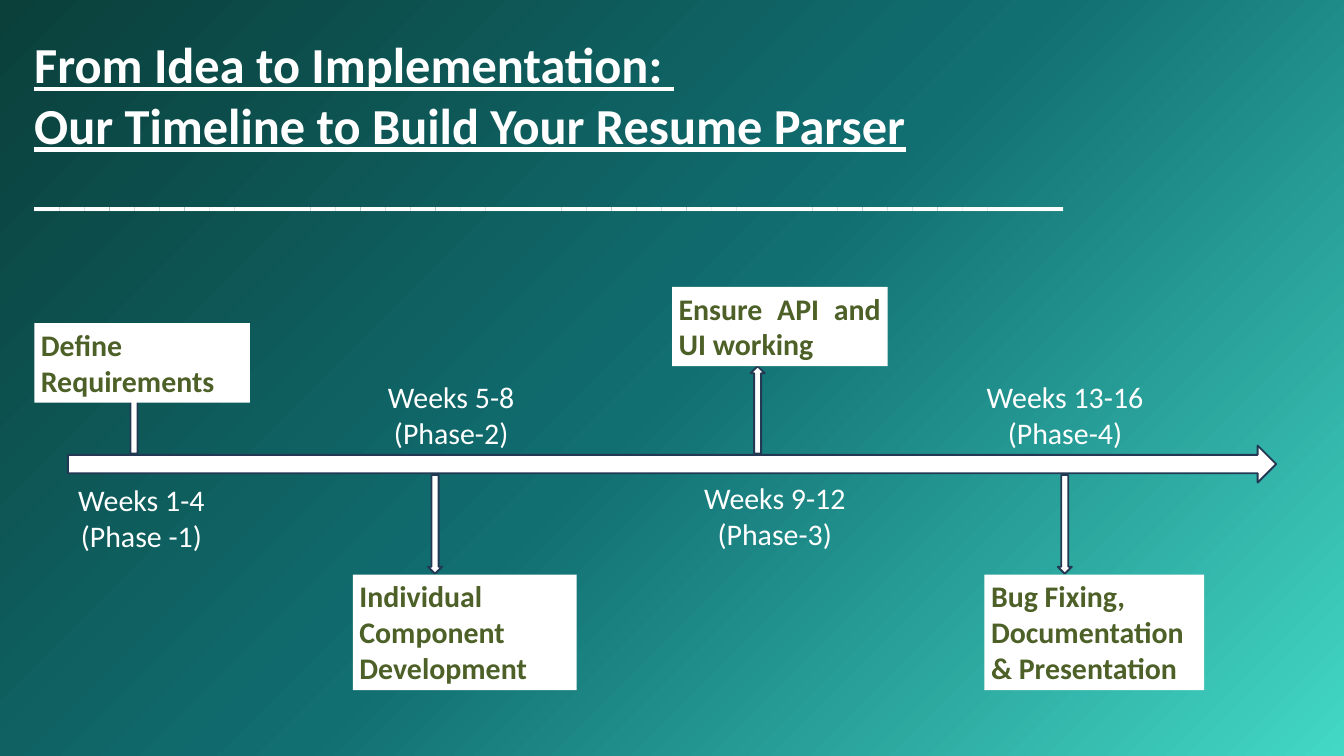
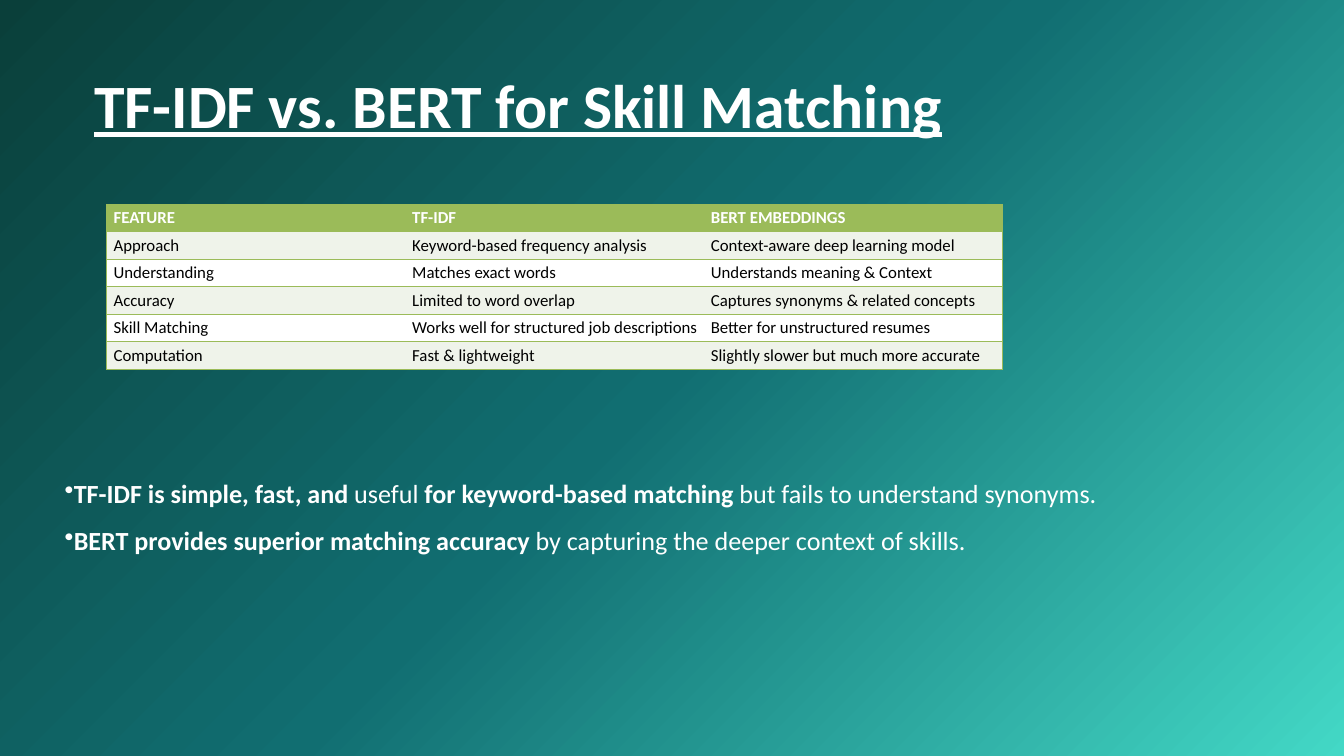
"""Builds a project timeline slide and a skill matching comparison slide."""
import pptx
import pptx.util
import pptx.dml.color
import pptx.enum.shapes
import pptx.enum.text
import pptx.oxml
import pptx.oxml.ns
from lxml import etree

Pt = pptx.util.Pt
qn = pptx.oxml.ns.qn
SHAPE = pptx.enum.shapes.MSO_SHAPE
ALIGN = pptx.enum.text.PP_ALIGN
FONT = "Calibri"
WHITE, BLACK, NAVY, OLIVE = "FFFFFF", "000000", "233953", "4D6027"
GREEN, PALE = "9BBB59", "EFF3EA"
GRADIENT = [(0, "0A3F3A"), (50, "116E71"), (100, "43D8C6")]


def rgb(color):
    return pptx.dml.color.RGBColor.from_string(color)


def write(sp, lines, size, color=WHITE, bold=None, underline=None, align=None, inset=None):
    tf = sp.text_frame
    tf.word_wrap = True
    tf.auto_size = pptx.enum.text.MSO_AUTO_SIZE.SHAPE_TO_FIT_TEXT
    tf.vertical_anchor = pptx.enum.text.MSO_ANCHOR.TOP
    if inset is not None:
        tf.margin_left = tf.margin_top = tf.margin_right = tf.margin_bottom = Pt(inset)
    for i, line in enumerate(lines):
        p = tf.paragraphs[0] if i == 0 else tf.add_paragraph()
        p.text = line
        p.alignment = align
        f = p.font
        f.name, f.size, f.bold, f.underline = FONT, Pt(size), bold, underline
        f.color.rgb = rgb(color)
    return tf


prs = pptx.Presentation()
prs.slide_width, prs.slide_height = Pt(1440), Pt(810)
blank = prs.slide_layouts[6]

prs.slide_master.background.fill.gradient()
grad = prs.slide_master.element.find(".//" + qn("a:gradFill"))
for child in list(grad):
    grad.remove(child)
stops = etree.SubElement(grad, qn("a:gsLst"))
for pos, color in GRADIENT:
    gs = etree.SubElement(stops, qn("a:gs"), pos=str(pos * 1000))
    etree.SubElement(gs, qn("a:srgbClr"), val=color)
path = etree.SubElement(grad, qn("a:path"), path="circle")
etree.SubElement(path, qn("a:fillToRect"), r="100000", b="100000")

s = prs.slides.add_slide(blank)
sp = s.shapes.add_textbox(Pt(36.7), Pt(36), Pt(1182), Pt(196.6))
tf = write(sp, ["From Idea to Implementation: ", "Our Timeline to Build Your Resume Parser", "_" * 41],
           54, bold=True, underline=True, inset=0)
tf.paragraphs[2].font.underline = False

phases = [
    ("Define Requirements ", ALIGN.JUSTIFY, (36.7, 346.3, 231, 85),
     SHAPE.UP_ARROW, (136, 392.4, 15.1, 93.6),
     ["Weeks 1-4", "(Phase -1)"], (72.7, 512.6, 157.7, 85)),
    ("Individual Component Development", ALIGN.JUSTIFY, (378, 615.6, 239.8, 123.8),
     SHAPE.DOWN_ARROW, (458.6, 509, 15.1, 105.8),
     ["Weeks 5-8", "(Phase-2)"], (404.6, 401.8, 157.7, 85)),
    ("Ensure API and UI working", ALIGN.JUSTIFY, (720, 307.4, 231, 85),
     SHAPE.UP_ARROW, (804.2, 392.4, 15.1, 93.6),
     ["Weeks 9-12", "(Phase-3)"], (740.2, 510.5, 180, 85)),
    ("Bug Fixing, Documentation & Presentation", ALIGN.LEFT, (1054.8, 615.6, 235.4, 123.8),
     SHAPE.DOWN_ARROW, (1133.3, 509, 15.1, 105.8),
     ["Weeks 13-16", "(Phase-4)"], (1038.2, 401.8, 205.9, 85)),
]
arrows = [(SHAPE.RIGHT_ARROW, (72.7, 477.4, 1294.6, 39.6))] + [phase[3:5] for phase in phases]
for kind, box in arrows:
    sp = s.shapes.add_shape(kind, *map(Pt, box))
    sp.shadow.inherit = False
    sp.fill.solid()
    sp.fill.fore_color.rgb = rgb(WHITE)
    sp.line.color.rgb = rgb(NAVY)
    sp.line.width = Pt(2)
for task, align, task_box, kind, arrow_box, weeks, weeks_box in phases:
    sp = s.shapes.add_shape(SHAPE.RECTANGLE, *map(Pt, task_box))
    sp.shadow.inherit = False
    sp.fill.solid()
    sp.fill.fore_color.rgb = rgb(WHITE)
    sp.line.fill.background()
    write(sp, [task], 32, OLIVE, bold=True, align=align)
    write(s.shapes.add_textbox(*map(Pt, weeks_box)), weeks, 32, align=ALIGN.CENTER)

s = prs.slides.add_slide(blank)
sp = s.shapes.add_textbox(Pt(100.8), Pt(54), Pt(1160.6), Pt(90.7))
tf = write(sp, ["TF-IDF vs. BERT for Skill Matching"], 66, bold=True, underline=True, inset=0)
tf.paragraphs[0].line_spacing = Pt(96.9)

points = [
    [("TF-IDF is simple, fast, and ", True), ("useful", False),
     (" for keyword-based matching", True), (" but fails to understand synonyms.", False)],
    [("BERT provides superior matching accuracy", True),
     (" by capturing the deeper context of skills.", False)],
]
sp = s.shapes.add_textbox(Pt(69.1), Pt(494.6), Pt(1301.8), Pt(96.5))
tf = sp.text_frame
tf.word_wrap = True
tf.auto_size = pptx.enum.text.MSO_AUTO_SIZE.SHAPE_TO_FIT_TEXT
tf.margin_left = tf.margin_top = tf.margin_right = tf.margin_bottom = 0
for i, point in enumerate(points):
    p = tf.paragraphs[0] if i == 0 else tf.add_paragraph()
    etree.SubElement(p._p.get_or_add_pPr(), qn("a:buChar"), char="•")
    p.line_spacing = 1.5
    p.font.name, p.font.size = FONT, Pt(28)
    p.font.color.rgb = rgb(WHITE)
    for text, bold in point:
        r = p.add_run()
        r.text = text
        r.font.bold = bold

rows = [
    ("FEATURE", "TF-IDF", "BERT EMBEDDINGS"),
    ("Approach", "Keyword-based frequency analysis", "Context-aware deep learning model"),
    ("Understanding", "Matches exact words", "Understands meaning & Context"),
    ("Accuracy", "Limited to word overlap", "Captures synonyms & related concepts"),
    ("Skill Matching", "Works well for structured job descriptions", "Better for unstructured resumes"),
    ("Computation", "Fast & lightweight", "Slightly slower but much more accurate"),
]
table = s.shapes.add_table(len(rows), 3, Pt(114.5), Pt(218.9), Pt(960), Pt(177)).table
table.horz_banding = False
for row in table.rows:
    row.height = Pt(29.5)
for i, row in enumerate(rows):
    for j, text in enumerate(row):
        cell = table.cell(i, j)
        tcPr = cell._tc.get_or_add_tcPr()
        for side, shown in (("L", j == 0), ("R", j == 2), ("T", True), ("B", True)):
            ln = etree.SubElement(tcPr, qn("a:ln" + side), w=str(Pt(1)))
            if shown:
                fill = etree.SubElement(ln, qn("a:solidFill"))
                etree.SubElement(fill, qn("a:srgbClr"), val=GREEN)
            else:
                etree.SubElement(ln, qn("a:noFill"))
        cell.fill.solid()
        cell.fill.fore_color.rgb = rgb(GREEN if i == 0 else PALE if i % 2 else WHITE)
        cell.text = text
        f = cell.text_frame.paragraphs[0].font
        f.name, f.size, f.bold = FONT, Pt(18), i == 0
        f.color.rgb = rgb(BLACK if i else WHITE)

prs.save("out.pptx")
